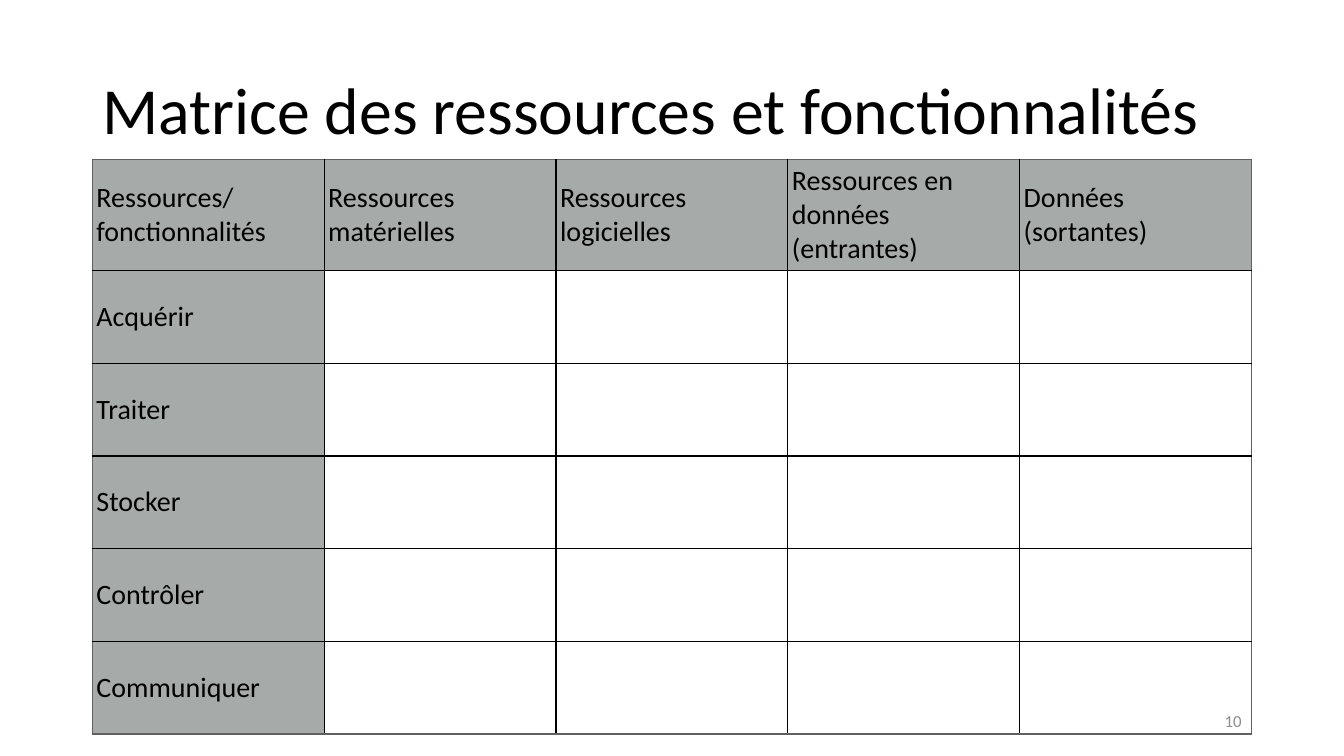
from lxml.etree import SubElement
from pptx import Presentation
from pptx.dml.color import RGBColor
from pptx.enum.text import MSO_ANCHOR, MSO_AUTO_SIZE, PP_ALIGN
from pptx.oxml.ns import qn
from pptx.util import Pt

BLACK = RGBColor(0x00, 0x00, 0x00)
WHITE = RGBColor(0xFF, 0xFF, 0xFF)
HEADER_GREY = RGBColor(0xA6, 0xAA, 0xA9)
FRAME_GREY = RGBColor(0x60, 0x60, 0x60)
NUMBER_GREY = RGBColor(0x8C, 0x8C, 0x8C)

RESOURCES = [
    "Ressources/\nfonctionnalités",
    "Ressources matérielles",
    "Ressources logicielles",
    "Ressources en données (entrantes)",
    "Données (sortantes)",
]
FUNCTIONS = ["Acquérir", "Traiter", "Stocker", "Contrôler", "Communiquer"]
LEFT, WIDTH = 66, 828
HEADER_HEIGHT, ROW_HEIGHT = 79, 66.24


def format_text(frame, size, color, align=PP_ALIGN.LEFT):
    frame.word_wrap = True
    for paragraph in frame.paragraphs:
        paragraph.alignment = align
        paragraph.font.name = "Calibri"
        paragraph.font.size = Pt(size)
        paragraph.font.color.rgb = color


def add_border(cell, side, color):
    line = SubElement(cell._tc.get_or_add_tcPr(), qn("a:ln" + side), w=str(Pt(1)))
    fill = SubElement(line, qn("a:solidFill"))
    SubElement(fill, qn("a:srgbClr"), val=str(color))


presentation = Presentation()
presentation.slide_width, presentation.slide_height = Pt(960), Pt(540)
slide = presentation.slides.add_slide(presentation.slide_layouts[5])

title = slide.shapes.title
title.left, title.top, title.width, title.height = Pt(LEFT), Pt(28.75), Pt(WIDTH), Pt(104.4)
title.text_frame.text = "Matrice des ressources et fonctionnalités"
title.text_frame.auto_size = MSO_AUTO_SIZE.NONE
title.text_frame.vertical_anchor = MSO_ANCHOR.MIDDLE
title.text_frame.paragraphs[0].line_spacing = 0.9
format_text(title.text_frame, 47, BLACK)

last_row, last_column = len(FUNCTIONS), len(RESOURCES) - 1
matrix = slide.shapes.add_table(
    last_row + 1, last_column + 1, Pt(LEFT), Pt(114), Pt(WIDTH),
    Pt(HEADER_HEIGHT + last_row * ROW_HEIGHT),
).table
matrix.horz_banding = False
matrix.first_row = False
for column in matrix.columns:
    column.width = Pt(WIDTH / len(RESOURCES))

for r, row in enumerate(matrix.rows):
    row.height = Pt(ROW_HEIGHT if r else HEADER_HEIGHT)
    for c, cell in enumerate(row.cells):
        outer_sides = {"L": c == 0, "R": c == last_column, "T": r == 0, "B": r == last_row}
        for side, is_outer in outer_sides.items():
            add_border(cell, side, FRAME_GREY if is_outer else BLACK)
        is_heading = r == 0 or c == 0
        cell.fill.solid()
        cell.fill.fore_color.rgb = HEADER_GREY if is_heading else WHITE
        if is_heading:
            cell.text = FUNCTIONS[r - 1] if r else RESOURCES[c]
            cell.vertical_anchor = MSO_ANCHOR.MIDDLE
            cell.margin_left = cell.margin_right = Pt(2.88)
            cell.margin_top = cell.margin_bottom = Pt(2.88)
            format_text(cell.text_frame, 20, BLACK)

slide_number = slide.shapes.add_textbox(Pt(678), Pt(500.5), Pt(216), Pt(28.75)).text_frame
slide_number.text = "10"
slide_number.vertical_anchor = MSO_ANCHOR.MIDDLE
format_text(slide_number, 12, NUMBER_GREY, PP_ALIGN.RIGHT)

presentation.save("out.pptx")
